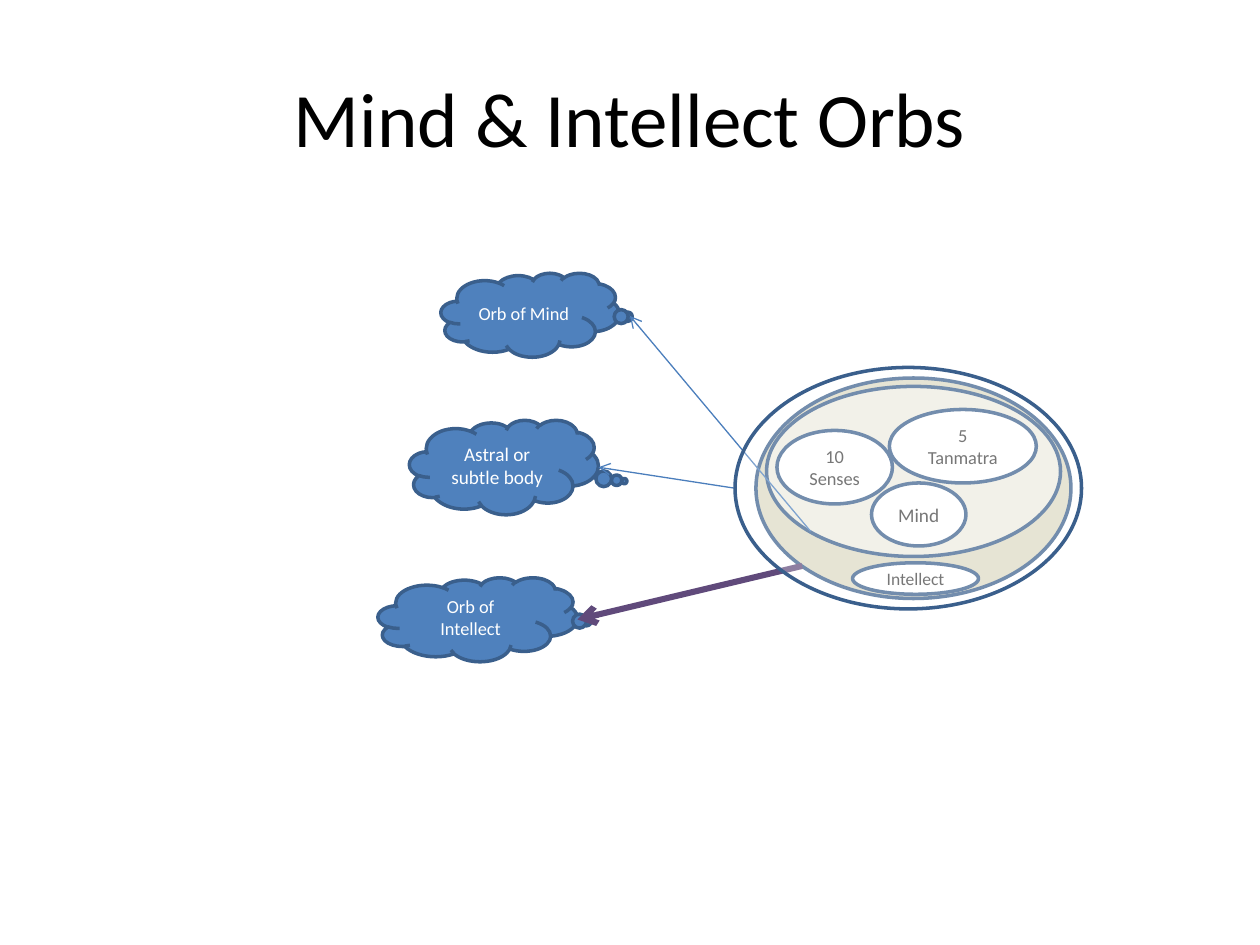
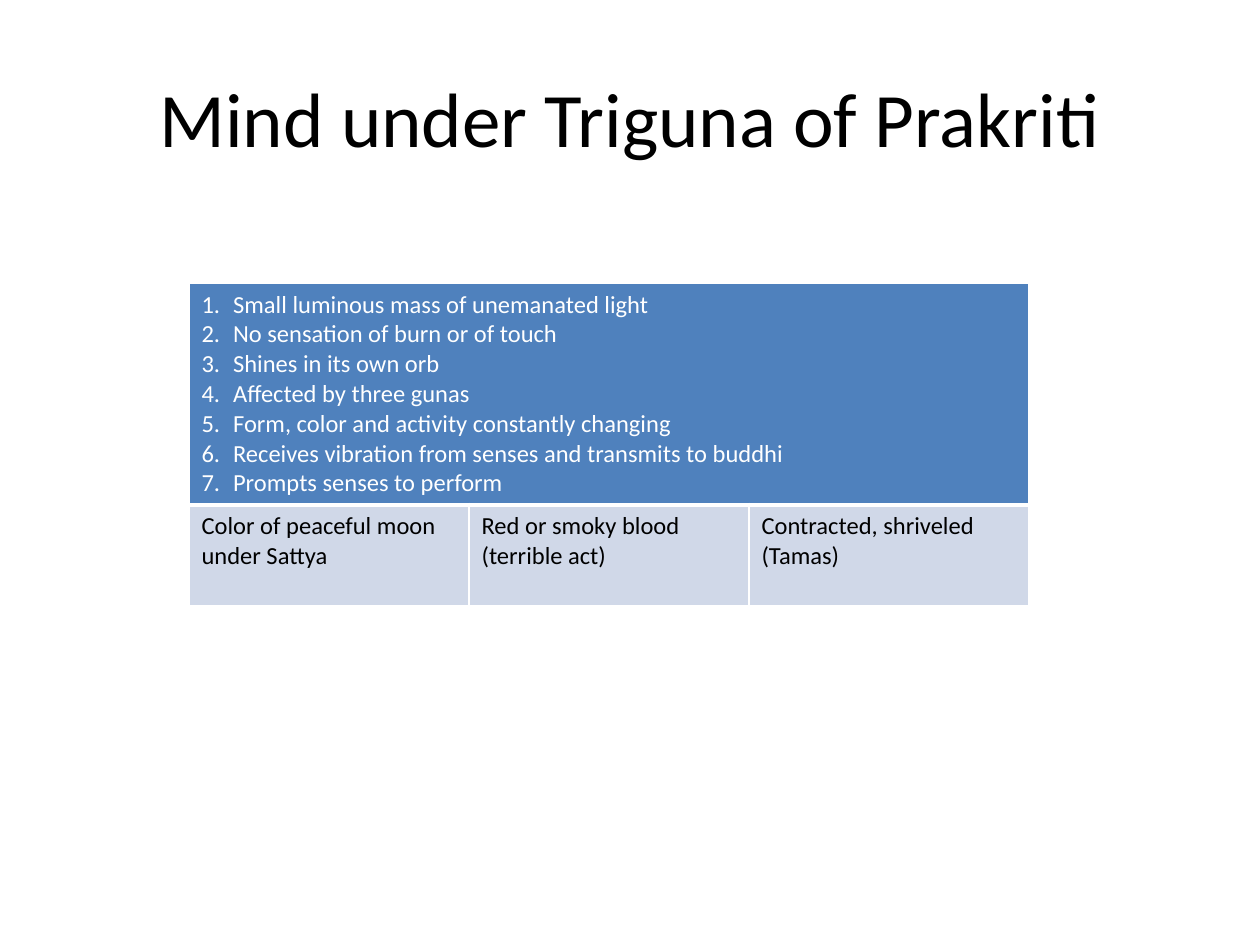
"""Build two slides: the orbs of mind and intellect, and the mind under the three gunas."""
from lxml.etree import SubElement
from pptx import Presentation
from pptx.dml.color import RGBColor
from pptx.enum.shapes import MSO_CONNECTOR, MSO_SHAPE
from pptx.enum.text import MSO_ANCHOR, PP_ALIGN
from pptx.oxml import parse_xml
from pptx.oxml.ns import nsdecls, qn
from pptx.util import Inches, Pt

WHITE = RGBColor(0xFF, 0xFF, 0xFF)
BLACK = RGBColor(0x00, 0x00, 0x00)
GREY = RGBColor(0x40, 0x40, 0x40)
BLUE = RGBColor(0x4F, 0x81, 0xBD)
DARK_BLUE = RGBColor(0x3A, 0x5F, 0x8C)
ARROW_BLUE = RGBColor(0x4B, 0x7E, 0xBC)
PURPLE = RGBColor(0x60, 0x4A, 0x7B)
PALE_BLUE = RGBColor(0xD0, 0xD8, 0xE8)
TAN = RGBColor(0xDD, 0xD9, 0xC3)
LIGHT_TAN = RGBColor(0xEE, 0xEC, 0xE1)

presentation = Presentation()
presentation.slide_width, presentation.slide_height = Inches(10), Inches(7.5)
UNIT = presentation.slide_width / 120


def grid(*lengths):
    """Turn grid columns and rows into slide lengths."""
    return [round(length * UNIT) for length in lengths]


def write(paragraph, text, size, color, alignment):
    """Put one formatted run into a paragraph."""
    paragraph.alignment = alignment
    run = paragraph.add_run()
    run.text = text
    run.font.color.rgb = color
    for name, value in {"name": "Calibri", "size": Pt(size), "bold": False}.items():
        setattr(run.font, name, value)


slides = []
for heading in ["Mind & Intellect Orbs", "Mind under Triguna of Prakriti"]:
    slide = presentation.slides.add_slide(presentation.slide_layouts[5])
    title = slide.shapes.title
    for name, value in zip(["left", "top", "width", "height"], grid(6, 3.6, 108, 15)):
        setattr(title, name, value)
    title.text_frame.vertical_anchor = MSO_ANCHOR.MIDDLE
    write(title.text_frame.paragraphs[0], heading, 44, BLACK, PP_ALIGN.CENTER)
    slides.append(slide)
orbs_slide, triguna_slide = slides

CLOUD, OVAL = MSO_SHAPE.CLOUD_CALLOUT, MSO_SHAPE.OVAL
orbs = [
    (CLOUD, (39, 40, 18, 9), BLUE, "Astral or subtle body", 11, (0.637, 0.147)),
    (CLOUD, (36, 55, 19, 8), BLUE, "Orb of Intellect", 10.5, (0.556, 0.021)),
    (OVAL, (72, 36, 30, 21), TAN, "", 0, ()),
    (OVAL, (73, 36.8, 28, 16.2), LIGHT_TAN, "", 0, ()),
    (OVAL, (74, 41, 11, 7), WHITE, "10 Senses", 10.5, ()),
    (OVAL, (84.7, 39, 14, 7), WHITE, "5 Tanmatra", 10.5, ()),
    (OVAL, (83, 46, 9, 6), WHITE, "Mind", 11, ()),
    (OVAL, (81.2, 53.6, 12, 3), WHITE, "Intellect", 10, ()),
    (CLOUD, (42, 26, 17, 8), BLUE, "Orb of Mind", 10.5, (0.556, 0.021)),
    (OVAL, (70, 35, 33, 23), WHITE, "", 0, ()),
]
arrows = [
    ((70, 46.5, 57, 44.5), ARROW_BLUE, 0.75),
    ((77.2, 50.6, 60, 30.1), ARROW_BLUE, 0.75),
    ((76.4, 53.9, 55, 59), PURPLE, 3.5),
]

for kind, place, fill, text, size, adjustments in orbs:
    shape = orbs_slide.shapes.add_shape(kind, *grid(*place))
    shape.shadow.inherit = False
    shape.fill.solid()
    shape.fill.fore_color.rgb = fill
    shape.line.color.rgb = DARK_BLUE
    shape.line.width = Pt(2)
    for index, value in enumerate(adjustments):
        shape.adjustments[index] = value
    if text:
        shape.text_frame.word_wrap = True
        shape.text_frame.vertical_anchor = MSO_ANCHOR.MIDDLE
        color = WHITE if kind == CLOUD else GREY
        write(shape.text_frame.paragraphs[0], text, size, color, PP_ALIGN.CENTER)

veil = shape
veil_color = veil.fill._xPr.find(qn("a:solidFill"))[0]
SubElement(veil_color, qn("a:alpha"), val="29000")

for points, color, width in arrows:
    arrow = orbs_slide.shapes.add_connector(MSO_CONNECTOR.STRAIGHT, *grid(*points))
    arrow.line.color.rgb = color
    arrow.line.width = Pt(width)
    SubElement(arrow.line._get_or_add_ln(), qn("a:tailEnd"), type="arrow")
    SubElement(arrow._element.spPr, qn("a:effectLst"))
    veil._element.addprevious(arrow._element)

traits = [
    "Small luminous mass of unemanated light",
    "No sensation of burn or of touch",
    "Shines in its own orb",
    "Affected by three gunas",
    "Form, color and activity constantly changing",
    "Receives vibration from senses and transmits to buddhi",
    "Prompts senses to perform",
]
gunas = [
    "Color of peaceful moon under Sattya",
    "Red or smoky blood (terrible act)",
    "Contracted, shriveled (Tamas)",
]
table = triguna_slide.shapes.add_table(2, len(gunas), *grid(18, 27, 80, 30.4)).table
table.first_row = table.horz_banding = False
for row, height in zip(table.rows, grid(20.8, 9.6)):
    row.height = height
table.cell(0, 0).merge(table.cell(0, len(gunas) - 1))

for row_index, (fill, borders) in enumerate([
    (BLUE, {"lnL": 1, "lnR": 1, "lnT": 1, "lnB": 3}),
    (PALE_BLUE, {"lnL": 1, "lnR": 1, "lnT": 3, "lnB": 1}),
]):
    for cell in table.rows[row_index].cells:
        cell.fill.solid()
        cell.fill.fore_color.rgb = fill
        properties = cell._tc.get_or_add_tcPr()
        for index, (side, width) in enumerate(borders.items()):
            properties.insert(index, parse_xml(
                f'<a:{side} {nsdecls("a")} w="{Pt(width)}"><a:solidFill>'
                f'<a:srgbClr val="{WHITE}"/></a:solidFill></a:{side}>'))

trait_frame = table.cell(0, 0).text_frame
for index, trait in enumerate(traits):
    paragraph = trait_frame.add_paragraph() if index else trait_frame.paragraphs[0]
    write(paragraph, trait, 14, WHITE, PP_ALIGN.LEFT)
    properties = paragraph._p.get_or_add_pPr()
    for name, value in {"marL": Inches(0.25), "indent": -Inches(0.25)}.items():
        properties.set(name, str(value))
    SubElement(properties, qn("a:buFont"), typeface="+mj-lt")
    SubElement(properties, qn("a:buAutoNum"), type="arabicPeriod")

for column, guna in enumerate(gunas):
    write(table.cell(1, column).text_frame.paragraphs[0], guna, 14, BLACK, PP_ALIGN.LEFT)

presentation.save("out.pptx")
